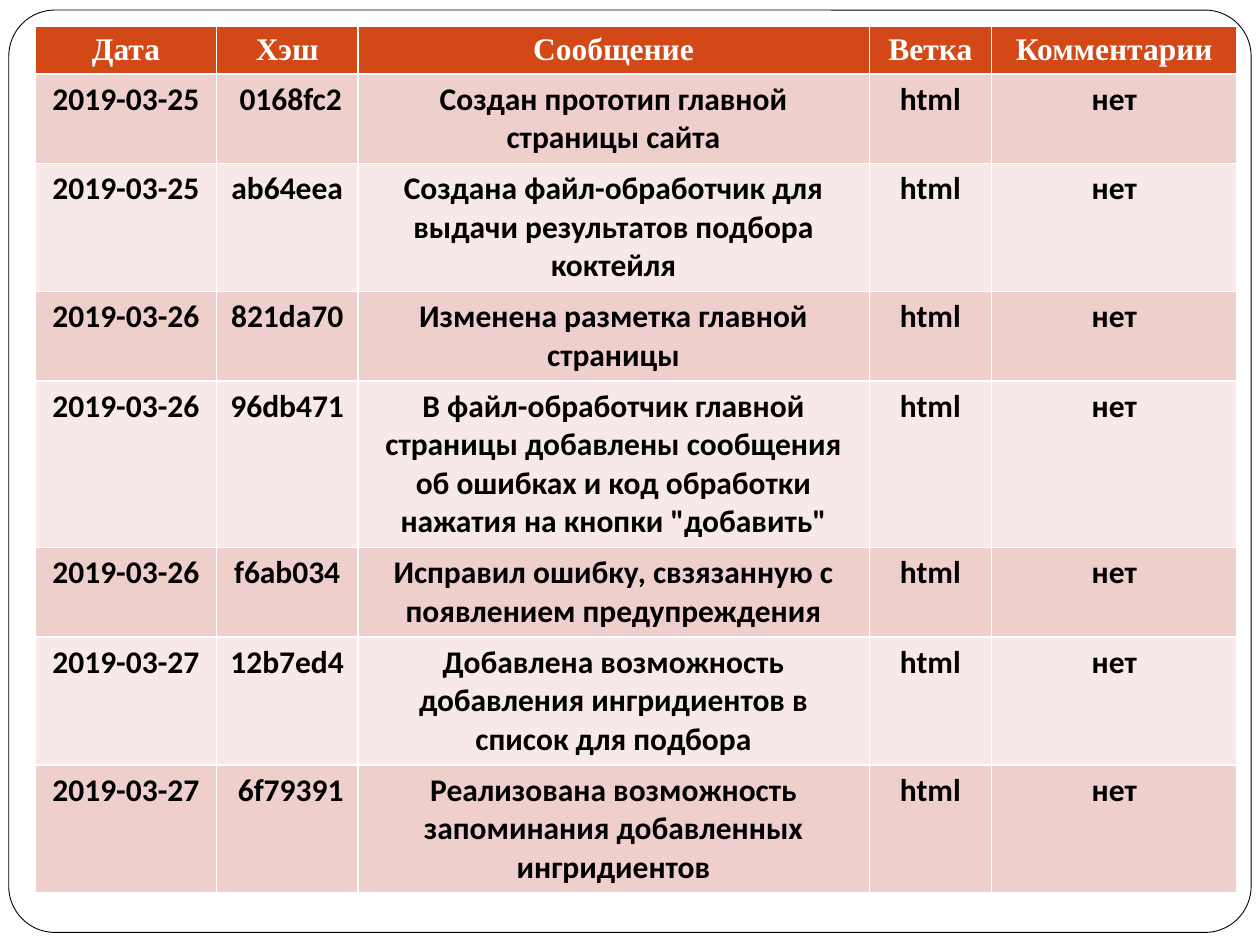
from pptx import Presentation
from pptx.dml.color import RGBColor
from pptx.enum import shapes, text
from pptx.util import Inches, Pt

# Content
HEAD = ["Дата", "Хэш", "Сообщение", "Ветка", "Комментарии"]
LOG = [
    ("2019-03-25", " 0168fc2", "Создан прототип главной страницы сайта"),
    ("2019-03-25", "ab64eea",
     "Создана файл-обработчик для выдачи результатов подбора коктейля"),
    ("2019-03-26", "821da70", "Изменена разметка главной страницы"),
    ("2019-03-26", "96db471",
     "В файл-обработчик главной страницы добавлены сообщения "
     "об ошибках и код обработки нажатия на кнопки \"добавить\""),
    ("2019-03-26", "f6ab034",
     "Исправил ошибку, свзязанную с появлением предупреждения"),
    ("2019-03-27", "12b7ed4",
     "Добавлена возможность добавления ингридиентов в список для подбора"),
    ("2019-03-27", " 6f79391",
     "Реализована возможность запоминания добавленных ингридиентов"),
]
BRANCH, NOTE = "html", "нет"
ROWS = [HEAD] + [[*entry, BRANCH, NOTE] for entry in LOG]

# Layout and colours
COLS = [1.44, 1.12, 4.06, 0.97, 1.95]
ROW_H = 0.33
WHITE = RGBColor(0xFF, 0xFF, 0xFF)
BLACK = RGBColor(0, 0, 0)
RUST = RGBColor(0xD3, 0x48, 0x17)
BANDS = [RGBColor(0xF7, 0xE9, 0xE8), RGBColor(0xEF, 0xCF, 0xCC)]
HEAD_FONT = {"name": "Times New Roman", "size": Pt(18), "bold": True}
BODY_FONT = {**HEAD_FONT, "name": "Calibri"}


def fill_cell(cell, words, back, ink, font):
    cell.fill.solid()
    cell.fill.fore_color.rgb = back
    par = cell.text_frame.paragraphs[0]
    par.alignment = text.PP_ALIGN.CENTER
    run = par.add_run()
    run.text = words
    run.font.color.rgb = ink
    for key, value in font.items():
        setattr(run.font, key, value)


def main():
    deck = Presentation()
    deck.slide_width, deck.slide_height = Inches(10), Inches(7.5)
    slide = deck.slides.add_slide(deck.slide_layouts[6])

    # Rounded frame
    frame = slide.shapes.add_shape(
        shapes.MSO_SHAPE.ROUNDED_RECTANGLE,
        Inches(0.07), Inches(0.08), Inches(9.86), Inches(7.32))
    frame.adjustments[0] = 0.05
    frame.shadow.inherit = False
    frame.fill.solid()
    frame.fill.fore_color.rgb = WHITE
    frame.line.color.rgb = BLACK
    frame.line.width = Pt(0.5)

    # Commit table: rows grow to fit their text
    table = slide.shapes.add_table(
        len(ROWS), len(COLS), Inches(0.28), Inches(0.21),
        Inches(sum(COLS)), Inches(ROW_H * len(ROWS))).table
    for col, width in zip(table.columns, COLS):
        col.width = Inches(width)
    for i, row in enumerate(ROWS):
        table.rows[i].height = Inches(ROW_H)
        look = (BANDS[i % 2], BLACK, BODY_FONT) if i else (RUST, WHITE, HEAD_FONT)
        for j, words in enumerate(row):
            fill_cell(table.cell(i, j), words, *look)

    deck.save("out.pptx")


if __name__ == "__main__":
    main()
